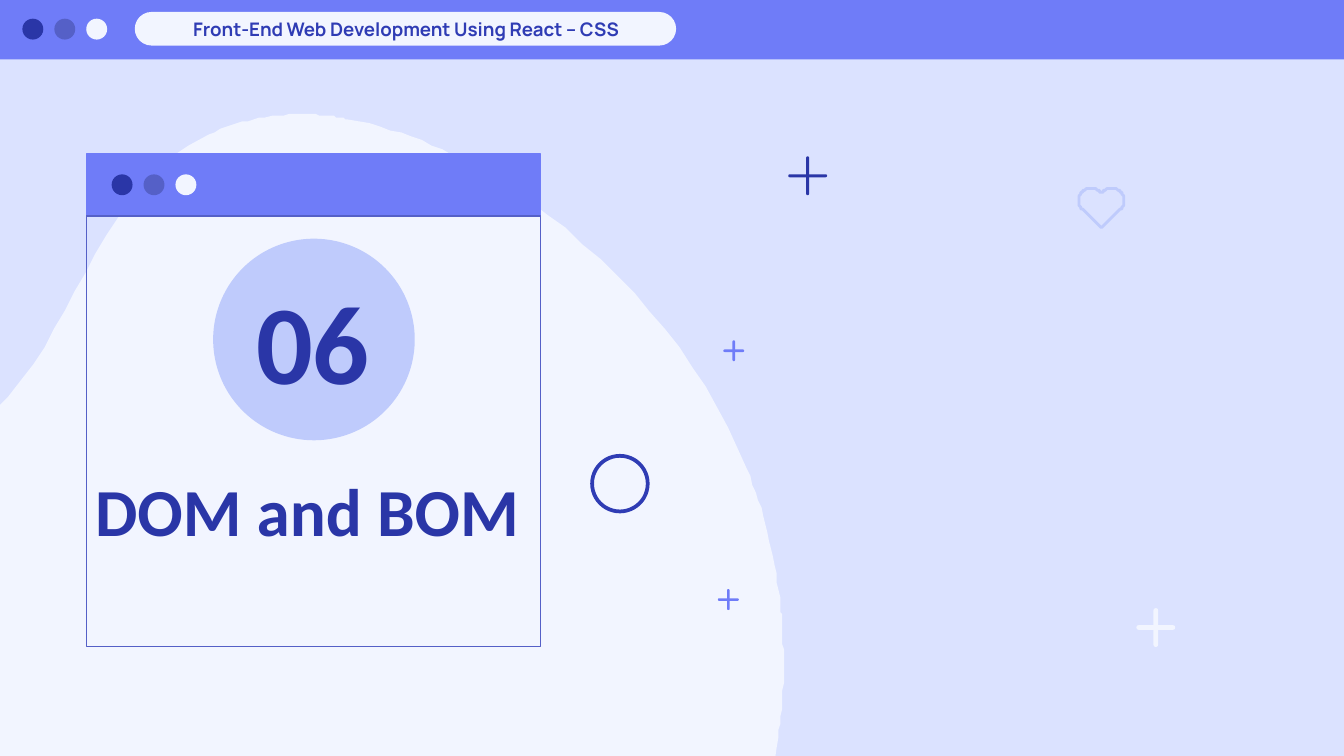
from dataclasses import dataclass
from pptx import Presentation
from pptx.dml.color import RGBColor as RGB
from pptx.enum.shapes import MSO_SHAPE as Kind
from pptx.enum.text import MSO_ANCHOR as Anchor, MSO_AUTO_SIZE as Fit, PP_ALIGN as Align
from pptx.util import Pt


@dataclass(frozen=True)
class Theme:
    page: str = "DBE2FF"
    pale: str = "F2F5FF"
    bar: str = "6F7CF8"
    navy: str = "2A36A7"
    blue: str = "2F3CB4"
    mid: str = "5560C7"
    soft: str = "BFCBFC"
    head: str = "Calibri"
    body: str = "Manrope"
    big: int = 60
    title: int = 36
    small: int = 10


THEME = Theme()

# Each row after a start point is a cubic curve: two handles and an end.
BLOB_START = (161.3, 61.2)
BLOB = [
    (144.7, 61.2, 127.4, 64.8, 111.6, 72),
    (54.7, 100.1, 43.2, 167.8, 4.3, 213.1),
    (-10.8, 230.4, -30.2, 244.1, -49, 257.8),
    (-82.1, 281.5, -112.3, 310.3, -126.7, 348.5),
    (-139.7, 382.3, -141.1, 421.9, -132.5, 457.2),
    (-110.9, 549.4, -21.6, 614.9, 67, 635),
    (87.8, 639.4, 108.7, 642.2, 129.6, 642.2),
    (232.6, 642.2, 333.4, 585.4, 384.5, 493.9),
    (401, 463, 412.6, 429.1, 416.9, 394.6),
    (419.8, 375.8, 420.5, 356.4, 419, 337.7),
    (419, 331.9, 418.3, 326.2, 417.6, 320.4),
    (414.7, 296.6, 409, 273.6, 400.3, 251.3),
    (375.8, 190.1, 328.3, 136.8, 272.2, 100.1),
    (246.2, 83.5, 217.4, 69.1, 186.5, 64.1),
    (178.6, 61.9, 169.9, 61.2, 161.3, 61.2),
]
# Right half of the heart, measured from its middle axis.
HEART_START = (0, 103)
HEART = [
    (1.5, 101.7, 3.6, 100.8, 5.7, 100.8),
    (9.3, 100.8, 12.2, 103.7, 12.2, 107.3),
    (12.2, 109.2, 11.6, 110.9, 10.4, 112.2),
]
HEART_TIP = (0, 122.3)


def trace(start, curves, steps=16):
    """Return points along a chain of cubic curves."""
    pts = [start]
    for ax, ay, bx, by, ex, ey in curves:
        sx, sy = pts[-1]
        for i in range(1, steps + 1):
            t = i / steps
            u = 1 - t
            k = (u**3, 3 * u * u * t, 3 * u * t * t, t**3)
            pts.append((
                sum(a * b for a, b in zip(k, (sx, ax, bx, ex))),
                sum(a * b for a, b in zip(k, (sy, ay, by, ey))),
            ))
    return pts


def paint(shape, fill=None, line=None, width=0.75):
    shape.shadow.inherit = False
    if fill:
        shape.fill.solid()
        shape.fill.fore_color.rgb = RGB.from_string(fill)
    else:
        shape.fill.background()
    if line:
        shape.line.color.rgb = RGB.from_string(line)
        shape.line.width = Pt(width)
    else:
        shape.line.fill.background()


def add(slide, kind, box, **look):
    shape = slide.shapes.add_shape(kind, *map(Pt, box))
    paint(shape, **look)
    return shape


def outline(slide, pts, **look):
    pen = slide.shapes.build_freeform(*pts[0], scale=Pt(1))
    pen.add_line_segments(pts[1:], close=True)
    paint(pen.convert_to_shape(), **look)


def dots(slide, left, top):
    for i, tint in enumerate((THEME.navy, THEME.mid, THEME.pale)):
        add(slide, Kind.OVAL, (left + 17.1 * i, top, 11.2, 11.2), fill=tint)


def plus(slide, x, y, size, thick, tint):
    for w, h in ((thick, size), (size, thick)):
        bar = add(slide, Kind.ROUNDED_RECTANGLE, (x - w / 2, y - h / 2, w, h), fill=tint)
        bar.adjustments[0] = 0.5


def heart(slide, mid):
    half = trace(HEART_START, HEART) + [HEART_TIP]
    right = [(mid + x, y) for x, y in half]
    left = [(mid - x, y) for x, y in half[-2:0:-1]]
    outline(slide, right + left, line=THEME.soft, width=1.5)


def write(slide, shape, box, text, font, size, tint, anchor=Anchor.TOP):
    """Fill a text shape, place it and bring it to the front."""
    shape.left, shape.top, shape.width, shape.height = map(Pt, box)
    slide.shapes.element.append(shape.element)
    frame = shape.text_frame
    frame.text = text
    frame.word_wrap = True
    frame.auto_size = Fit.NONE
    frame.vertical_anchor = anchor
    frame.margin_left = frame.margin_right = Pt(7.2)
    frame.margin_top = frame.margin_bottom = 0
    para = frame.paragraphs[0]
    para.alignment = Align.CENTER
    para.space_before = Pt(0)
    face = para.runs[0].font
    face.name, face.size, face.bold = font, Pt(size), True
    face.color.rgb = RGB.from_string(tint)


def header(slide):
    add(slide, Kind.RECTANGLE, (-1.4, -1.4, 722.8, 33.2), fill=THEME.bar)
    dots(slide, 12, 10)
    pill = add(slide, Kind.ROUNDED_RECTANGLE, (72.2, 6.4, 290, 18), fill=THEME.pale)
    pill.adjustments[0] = 0.5
    write(slide, slide.placeholders[1], (81.4, 6.4, 272.2, 18),
          "Front-End Web Development Using React – CSS",
          THEME.body, THEME.small, THEME.blue, Anchor.MIDDLE)


def window(slide):
    add(slide, Kind.RECTANGLE, (46.5, 82.5, 243, 33.2), fill=THEME.bar, line=THEME.bar)
    dots(slide, 59.8, 93.4)
    add(slide, Kind.RECTANGLE, (46.5, 115.7, 243, 230.7), line=THEME.mid)
    add(slide, Kind.OVAL, (114.2, 127.9, 108, 108), fill=THEME.soft)
    write(slide, slide.shapes.title, (39.6, 251.3, 249.8, 50.4),
          "DOM and BOM", THEME.head, THEME.title, THEME.navy)
    box = (119.5, 146.2, 96.5, 72)
    label = slide.shapes.add_textbox(*map(Pt, box))
    write(slide, label, box, "06", THEME.head, THEME.big, THEME.navy)


def decor(slide):
    plus(slide, 619.2, 336.2, 20.8, 2.5, THEME.pale)
    plus(slide, 393.1, 187.9, 11.2, 1.4, THEME.bar)
    plus(slide, 432.7, 94.2, 20.8, 1.6, THEME.navy)
    plus(slide, 390.2, 321.2, 11.2, 1.4, THEME.bar)
    heart(slide, 590)
    add(slide, Kind.OVAL, (317.2, 244.2, 29.8, 29.8), line=THEME.blue, width=2)


def main():
    deck = Presentation()
    deck.slide_width, deck.slide_height = Pt(720), Pt(405)
    slide = deck.slides.add_slide(deck.slide_layouts[0])
    back = slide.background.fill
    back.solid()
    back.fore_color.rgb = RGB.from_string(THEME.page)
    outline(slide, trace(BLOB_START, BLOB), fill=THEME.pale)
    header(slide)
    window(slide)
    decor(slide)
    deck.save("out.pptx")


if __name__ == "__main__":
    main()
